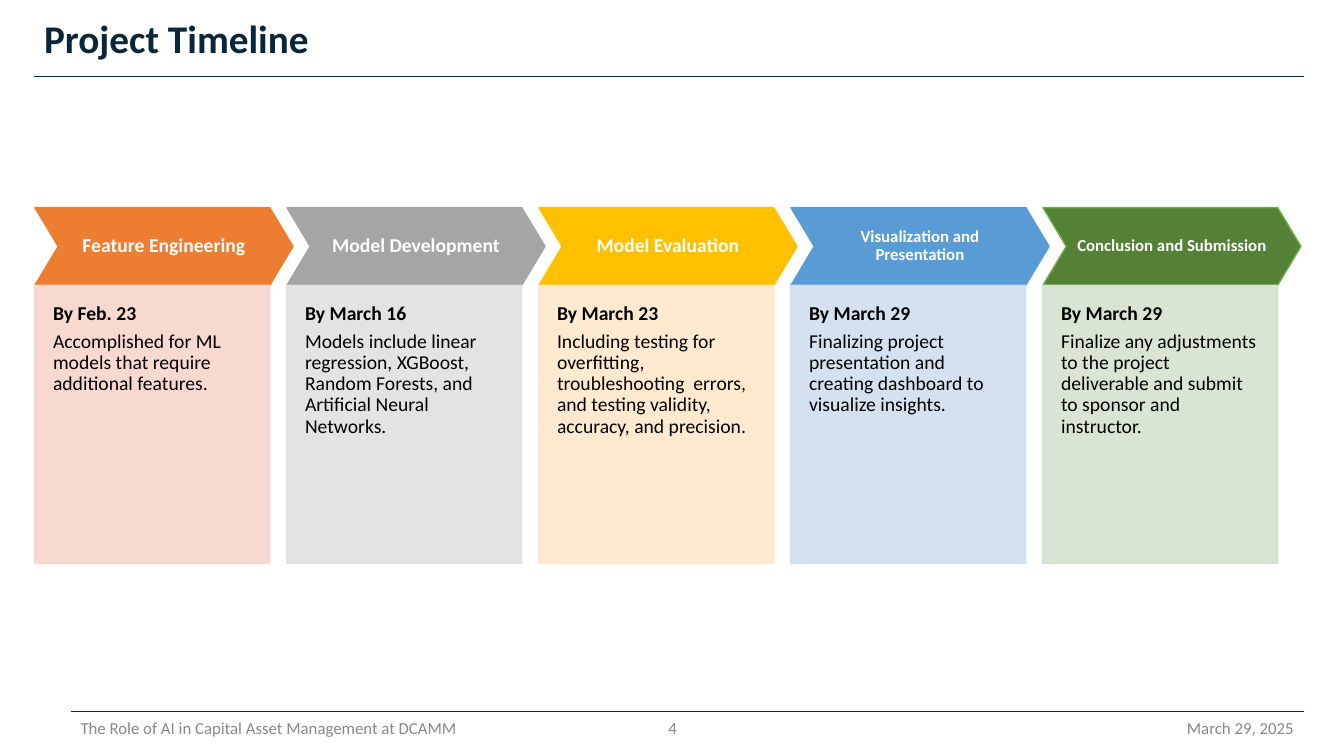
from dataclasses import dataclass

from lxml.etree import SubElement
from pptx import Presentation
from pptx.dml.color import RGBColor
from pptx.enum.shapes import MSO_CONNECTOR, MSO_SHAPE
from pptx.enum.text import MSO_ANCHOR, PP_ALIGN
from pptx.oxml.ns import qn
from pptx.util import Inches, Pt

SLIDE_WIDTH, SLIDE_HEIGHT = Inches(13.33), Inches(7.5)
FONT = "Calibri"
NAVY, GRAY, WHITE, BLACK = "09263A", "888888", "FFFFFF", "000000"

# Layout in percent of the slide's width and height
MARGIN_LEFT, MARGIN_RIGHT = 2.55, 97
FOOTER_LEFT, FOOTER_TOP, FOOTER_HEIGHT = 5.25, 93.6, 5.33
STAGE_LEFT, STAGE_PITCH = 2.6, 18.75
CHEVRON_TOP, CHEVRON_WIDTH, CHEVRON_HEIGHT = 27.47, 19.2, 10.27
PANEL_WIDTH, PANEL_HEIGHT = 17.48, 36.8
PANEL_OPACITY = 89


@dataclass
class Area:
    left: float
    top: float
    width: float
    height: float

    def lengths(self) -> tuple[int, int, int, int]:
        return (across(self.left), down(self.top),
                across(self.width), down(self.height))


@dataclass
class Stage:
    name: str
    deadline: str
    details: str
    fill: str
    panel: str
    outline: str = ""
    name_size: int = 14


@dataclass
class Footer:
    text: str
    left: float
    width: float
    align: PP_ALIGN


STAGES = [
    Stage("Feature Engineering", "By Feb. 23",
          "Accomplished for ML models that require additional features.",
          "ED7D31", "F7D5CB"),
    Stage("Model Development", "By March 16",
          "Models include linear regression, XGBoost, Random Forests, "
          "and Artificial Neural Networks.",
          "A5A5A5", "E0E0E0"),
    Stage("Model Evaluation", "By March 23",
          "Including testing for overfitting, troubleshooting  errors, "
          "and testing validity, accuracy, and precision.",
          "FFC000", "FFE8CA"),
    Stage("Visualization and Presentation", "By March 29",
          "Finalizing project presentation and creating dashboard "
          "to visualize insights.",
          "599BD5", "CFDEEF", name_size=12),
    Stage("Conclusion and Submission", "By March 29",
          "Finalize any adjustments to the project deliverable and submit "
          "to sponsor and instructor.",
          "548135", "D4E2CE", outline="70AD47", name_size=12),
]

FOOTERS = [
    Footer("The Role of AI in Capital Asset Management at DCAMM",
           FOOTER_LEFT, 33.75, PP_ALIGN.LEFT),
    Footer("4", 47.49, 5.1, PP_ALIGN.CENTER),
    Footer("March 29, 2025", 74.5, 22.5, PP_ALIGN.RIGHT),
]


def across(percent: float) -> int:
    return round(SLIDE_WIDTH * percent / 100)


def down(percent: float) -> int:
    return round(SLIDE_HEIGHT * percent / 100)


def color(value: str) -> RGBColor:
    return RGBColor.from_string(value)


def set_frame(shape, anchor=MSO_ANCHOR.MIDDLE, insets=(0.1, 0.05, 0.1, 0.05)):
    frame = shape.text_frame
    frame.word_wrap = True
    frame.vertical_anchor = anchor
    (frame.margin_left, frame.margin_top,
     frame.margin_right, frame.margin_bottom) = map(Inches, insets)


def write(paragraph, text: str, *, size: float, ink: str, bold=False,
          align=PP_ALIGN.LEFT, line_spacing=0.9, space_before=0.0):
    paragraph.alignment = align
    paragraph.line_spacing = line_spacing
    if space_before:
        paragraph.space_before = Pt(space_before)
    run = paragraph.add_run()
    run.text = text
    run.font.name = FONT
    run.font.size = Pt(size)
    run.font.bold = bold
    run.font.color.rgb = color(ink)


def add_label(slide, area: Area, text: str, **text_format):
    box = slide.shapes.add_textbox(*area.lengths())
    set_frame(box)
    write(box.text_frame.paragraphs[0], text, **text_format)


def add_rule(slide, left: float, top: float):
    rule = slide.shapes.add_connector(
        MSO_CONNECTOR.STRAIGHT, across(left), down(top),
        across(MARGIN_RIGHT), down(top))
    rule.line.color.rgb = color(NAVY)
    rule.line.width = Pt(0.75)
    SubElement(rule.element.spPr, qn("a:effectLst"))


def add_block(slide, kind: MSO_SHAPE, area: Area, fill: str,
              outline: str, opacity: int = 100):
    shape = slide.shapes.add_shape(kind, *area.lengths())
    shape.shadow.inherit = False
    shape.fill.solid()
    shape.fill.fore_color.rgb = color(fill)
    shape.line.color.rgb = color(outline)
    shape.line.width = Pt(1)
    if opacity < 100:
        for tint in shape.element.spPr.iter(qn("a:srgbClr")):
            SubElement(tint, qn("a:alpha"), val=str(opacity * 1000))
    return shape


def add_stage(slide, stage: Stage, left: float):
    # Chevron with the stage's name
    chevron = add_block(
        slide, MSO_SHAPE.CHEVRON,
        Area(left, CHEVRON_TOP, CHEVRON_WIDTH, CHEVRON_HEIGHT),
        stage.fill, stage.outline or stage.fill)
    chevron.adjustments[0] = 0.3
    set_frame(chevron, insets=(0.09, 0.09, 0.09, 0.09))
    write(chevron.text_frame.paragraphs[0], stage.name, size=stage.name_size,
          ink=WHITE, bold=True, align=PP_ALIGN.CENTER)

    # Panel with deadline and details
    panel = add_block(
        slide, MSO_SHAPE.RECTANGLE,
        Area(left, CHEVRON_TOP + CHEVRON_HEIGHT, PANEL_WIDTH, PANEL_HEIGHT),
        stage.panel, stage.panel, PANEL_OPACITY)
    set_frame(panel, MSO_ANCHOR.TOP, (0.18, 0.18, 0.18, 0.37))
    frame = panel.text_frame
    write(frame.paragraphs[0], stage.deadline, size=14, ink=BLACK, bold=True)
    write(frame.add_paragraph(), stage.details, size=14, ink=BLACK,
          space_before=4.9)


def main():
    presentation = Presentation()
    presentation.slide_width = SLIDE_WIDTH
    presentation.slide_height = SLIDE_HEIGHT
    slide = presentation.slides.add_slide(presentation.slide_layouts[6])

    # Title
    add_rule(slide, MARGIN_LEFT, 10.13)
    add_label(slide, Area(MARGIN_LEFT, 2.27, MARGIN_RIGHT - MARGIN_LEFT, 6.27),
              "Project Timeline", size=28, ink=NAVY, bold=True)

    # Timeline
    for index, stage in enumerate(STAGES):
        add_stage(slide, stage, STAGE_LEFT + index * STAGE_PITCH)

    # Footer
    add_rule(slide, FOOTER_LEFT, 94.13)
    for footer in FOOTERS:
        add_label(slide,
                  Area(footer.left, FOOTER_TOP, footer.width, FOOTER_HEIGHT),
                  footer.text, size=12, ink=GRAY, align=footer.align,
                  line_spacing=1.0)

    presentation.save("out.pptx")


if __name__ == "__main__":
    main()
